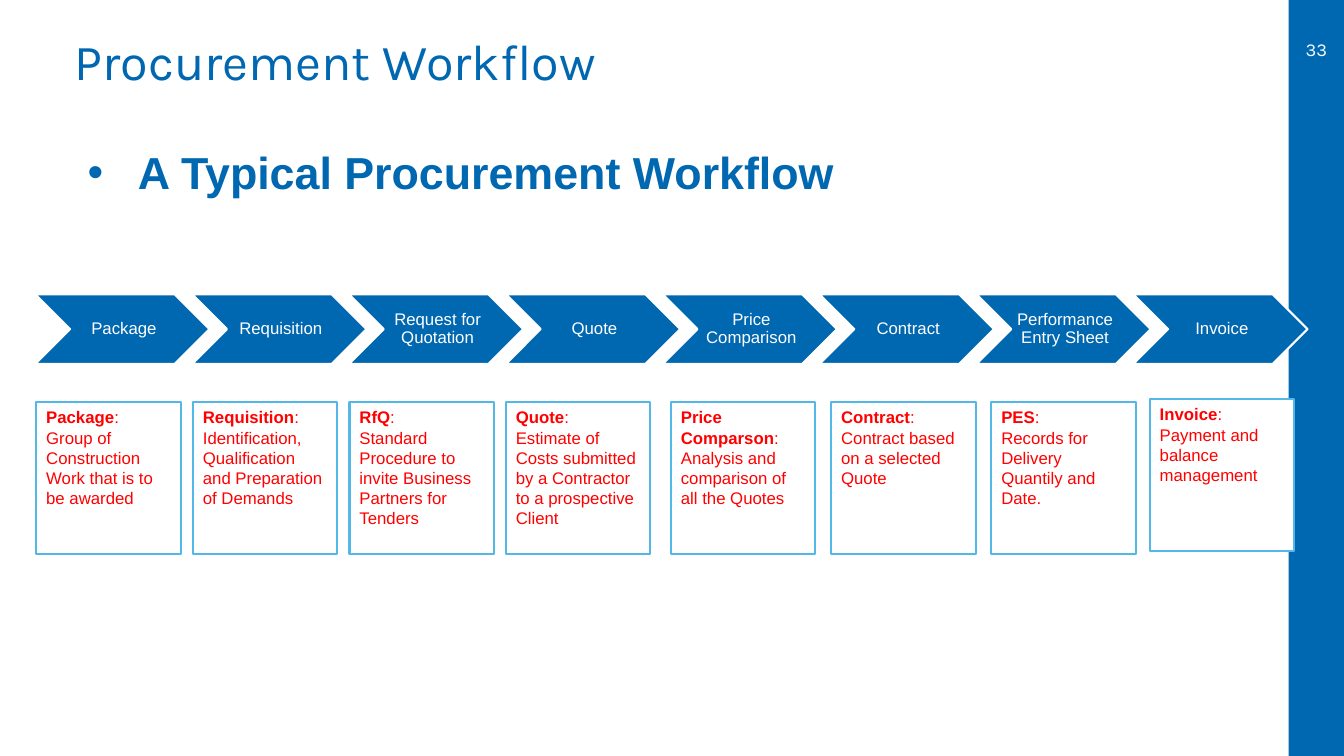
from dataclasses import dataclass
from lxml import etree
from pptx import Presentation
from pptx.dml.color import RGBColor
from pptx.enum.shapes import MSO_SHAPE
from pptx.enum.text import MSO_ANCHOR, MSO_AUTO_SIZE, PP_ALIGN
from pptx.oxml.ns import qn
from pptx.util import Pt

CHEVRON, RECT = MSO_SHAPE.CHEVRON, MSO_SHAPE.RECTANGLE
TOP, MIDDLE, BOTTOM = MSO_ANCHOR.TOP, MSO_ANCHOR.MIDDLE, MSO_ANCHOR.BOTTOM
LEFT, CENTER = PP_ALIGN.LEFT, PP_ALIGN.CENTER
NO_FIT = MSO_AUTO_SIZE.NONE

TITLE = "Procurement Workflow"
BODY = "A Typical Procurement Workflow"
NUMBER = "33"
STEPS = ["Package", "Requisition", "Request for Quotation", "Quote",
         "Price Comparison", "Contract", "Performance Entry Sheet", "Invoice"]
CARDS = [
    (25.9, 287.3, "Package", "Group of Construction Work that is to be awarded"),
    (137.9, 287.3, "Requisition", "Identification, Qualification and Preparation of Demands"),
    (249.8, 287.3, "RfQ", "Standard Procedure to invite Business Partners for Tenders"),
    (361.5, 287.3, "Quote", "Estimate of Costs submitted by a Contractor to a prospective Client"),
    (479.5, 287.3, "Price Comparson", "Analysis and comparison of all the Quotes"),
    (594, 287.3, "Contract", "Contract based on a selected Quote"),
    (708.5, 287.3, "PES", "Records for Delivery Quantily and Date."),
    (821.7, 285.1, "Invoice", "Payment and balance management"),
]


@dataclass
class Theme:
    blue: RGBColor = RGBColor(0x00, 0x67, 0xB1)
    sky: RGBColor = RGBColor(0x53, 0xB7, 0xE8)
    red: RGBColor = RGBColor(0xFF, 0x00, 0x00)
    white: RGBColor = RGBColor(0xFF, 0xFF, 0xFF)
    head: str = "Karla"
    text: str = "Arial"
    title: int = 36
    body: int = 32
    number: int = 13
    label: int = 12


THEME = Theme()


def place(shape, left, top, width, height):
    shape.left, shape.top = Pt(left), Pt(top)
    shape.width, shape.height = Pt(width), Pt(height)


def set_frame(frame, anchor, inset=(7.2, 3.6, 7.2, 3.6)):
    frame.word_wrap = True
    frame.auto_size = NO_FIT
    frame.vertical_anchor = anchor
    (frame.margin_left, frame.margin_top,
     frame.margin_right, frame.margin_bottom) = map(Pt, inset)


def style(para, face, size, color, align=LEFT, bold=False):
    para.alignment = align
    for run in para.runs:
        run.font.name, run.font.size = face, Pt(size)
        run.font.color.rgb, run.font.bold = color, bold


def add_box(slide, kind, area, fill, line=None):
    box = slide.shapes.add_shape(kind, *map(Pt, area))
    box.shadow.inherit = False
    box.fill.solid()
    box.fill.fore_color.rgb = fill
    if line is None:
        box.line.fill.background()
    else:
        box.line.color.rgb = line
        box.line.width = Pt(1.5)
    return box


def add_bullet(para, color):
    props = para._p.get_or_add_pPr()
    props.set("marL", str(Pt(36)))
    props.set("indent", str(Pt(-36)))
    tint = etree.SubElement(props, qn("a:buClr"))
    etree.SubElement(tint, qn("a:srgbClr"), val=str(color))
    etree.SubElement(props, qn("a:buFont"), typeface="Arial")
    etree.SubElement(props, qn("a:buChar"), char="•")


def add_heads(slide):
    title, body = slide.shapes.title, slide.placeholders[1]
    place(title, 43.9, 0, 833.8, 69.8)
    title.text_frame.text = TITLE
    set_frame(title.text_frame, BOTTOM, (9.4, 5, 9.4, 5))
    style(title.text_frame.paragraphs[0], THEME.head, THEME.title, THEME.blue)

    place(body, 55.4, 100.1, 763.2, 99.4)
    body.text_frame.text = BODY
    set_frame(body.text_frame, TOP)
    para = body.text_frame.paragraphs[0]
    add_bullet(para, THEME.blue)
    para.space_before = Pt(0)
    style(para, THEME.text, THEME.body, THEME.blue, bold=True)


def add_bar(slide):
    add_box(slide, RECT, (920.9, 0, 39.6, 540), THEME.blue)
    label = slide.shapes.add_textbox(*map(Pt, (920.9, 17.3, 39.6, 36)))
    label.text_frame.text = NUMBER
    set_frame(label.text_frame, MIDDLE, (9.4, 5, 9.4, 5))
    style(label.text_frame.paragraphs[0], THEME.head, THEME.number, THEME.white, CENTER)


def add_steps(slide):
    for index, name in enumerate(STEPS):
        area = (25.2 + index * 112.1, 210.2, 124.6, 49.8)
        frame = add_box(slide, CHEVRON, area, THEME.blue, THEME.white).text_frame
        frame.text = name
        set_frame(frame, MIDDLE, (3.6, 1.4, 1.4, 1.4))
        para = frame.paragraphs[0]
        para.line_spacing = 0.9
        style(para, THEME.text, THEME.label, THEME.white, CENTER)


def add_cards(slide):
    for left, top, name, note in CARDS:
        area = (left, top, 103.2, 108.7)
        frame = add_box(slide, RECT, area, THEME.white, THEME.sky).text_frame
        set_frame(frame, TOP)
        head, text = frame.paragraphs[0], frame.add_paragraph()
        head.add_run().text = name
        head.add_run().text = ":"
        text.text = note
        for para in (head, text):
            style(para, THEME.text, THEME.label, THEME.red)
        head.runs[0].font.bold = True


def main():
    deck = Presentation()
    deck.slide_width, deck.slide_height = Pt(960.5), Pt(540)
    slide = deck.slides.add_slide(deck.slide_layouts[1])
    add_heads(slide)
    add_bar(slide)
    add_steps(slide)
    add_cards(slide)
    deck.save("out.pptx")


if __name__ == "__main__":
    main()
